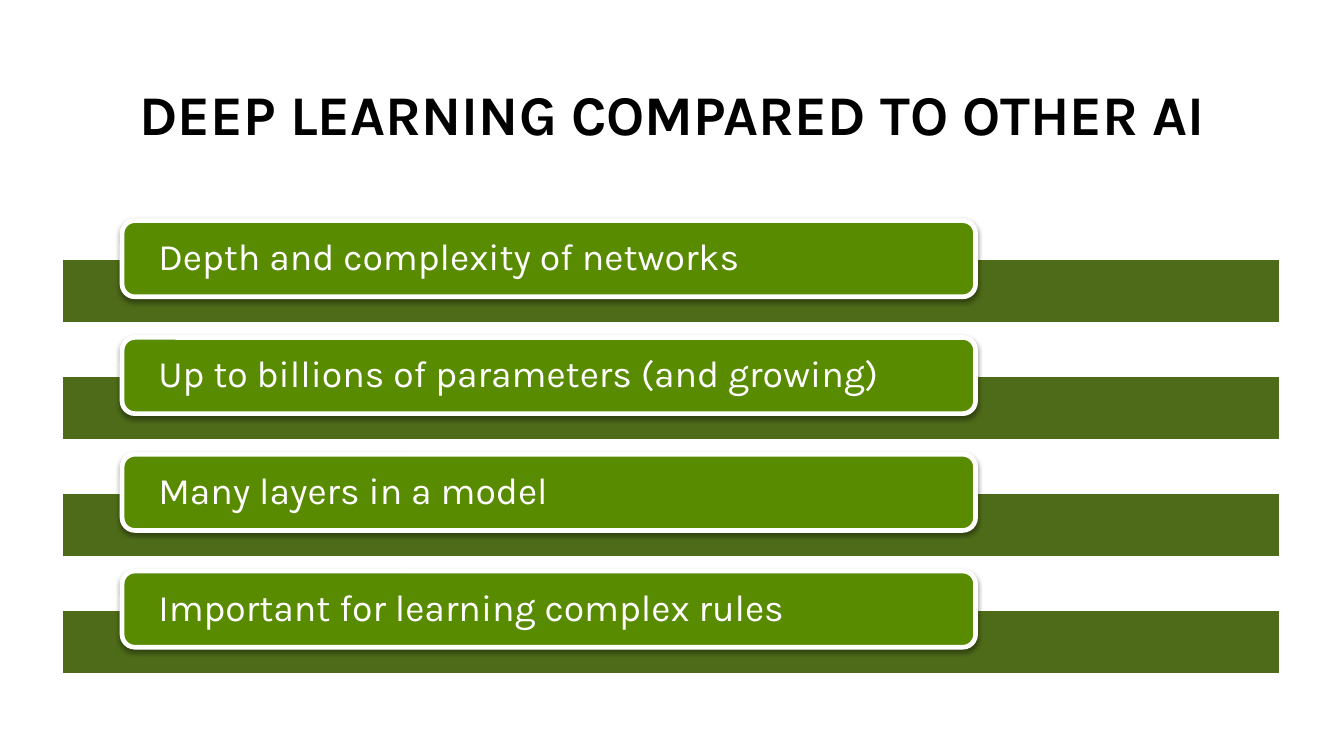
"""Build a slide listing how deep learning compares to other AI."""
from dataclasses import dataclass

from lxml import etree
from pptx import Presentation
from pptx.dml.color import RGBColor
from pptx.enum.shapes import MSO_SHAPE
from pptx.enum.text import MSO_ANCHOR, MSO_AUTO_SIZE, PP_ALIGN
from pptx.oxml.ns import qn
from pptx.shapes.autoshape import Shape
from pptx.slide import Slide
from pptx.text.text import TextFrame
from pptx.util import Inches, Pt

RECTANGLE = MSO_SHAPE.RECTANGLE
ROUNDED = MSO_SHAPE.ROUNDED_RECTANGLE
LEFT, CENTER = PP_ALIGN.LEFT, PP_ALIGN.CENTER
MIDDLE, BOTTOM = MSO_ANCHOR.MIDDLE, MSO_ANCHOR.BOTTOM
NO_AUTOFIT = MSO_AUTO_SIZE.NONE
TITLE_ONLY_LAYOUT = 5

FONT = "Karla"
COLORS = {"black": "000000", "white": "FFFFFF", "band": "3B5C00", "pill": "598B00"}
TITLE = "DEEP LEARNING COMPARED TO OTHER AI"
POINTS = (
    "Depth and complexity of networks",
    "Up to billions of parameters (and growing)",
    "Many layers in a model",
    "Important for learning complex rules",
)
FIRST_TOP = 1.97
ROW_PITCH = 1.043
BAND_OFFSET = 0.34


@dataclass(frozen=True)
class Box:
    left: float
    top: float
    width: float
    height: float

    def lengths(self) -> tuple:
        return tuple(map(Inches, (self.left, self.top, self.width, self.height)))


def color(name: str) -> RGBColor:
    return RGBColor.from_string(COLORS[name])


def write(frame: TextFrame, text: str, size: float, color_name: str,
          alignment: PP_ALIGN, bold: bool = False) -> None:
    paragraph = frame.paragraphs[0]
    paragraph.alignment = alignment
    paragraph.line_spacing = 0.9
    run = paragraph.add_run()
    run.text = text
    run.font.name = FONT
    run.font.size = Pt(size)
    run.font.bold = bold
    run.font.color.rgb = color(color_name)


def add_block(slide: Slide, kind: MSO_SHAPE, box: Box, fill: str, line_width: float) -> Shape:
    shape = slide.shapes.add_shape(kind, *box.lengths())
    shape.shadow.inherit = False
    shape.fill.solid()
    shape.fill.fore_color.rgb = color(fill)
    shape.line.color.rgb = color("white")
    shape.line.width = Pt(line_width)
    return shape


def set_opacity(color_element: etree._Element, percent: int) -> None:
    etree.SubElement(color_element, qn("a:alpha"), val=str(percent * 1000))


def add_shadow(shape: Shape) -> None:
    effects = shape.element.spPr.find(qn("a:effectLst"))
    shadow = etree.SubElement(
        effects, qn("a:outerShdw"), blurRad=str(Pt(3.1)), dist=str(Pt(1.6)),
        dir=str(90 * 60000), rotWithShape="0")
    shadow_color = etree.SubElement(shadow, qn("a:srgbClr"), val=COLORS["black"])
    set_opacity(shadow_color, 38)


def add_title(slide: Slide) -> None:
    title = slide.shapes.title
    title.left, title.top, title.width, title.height = Box(0.55, 0.72, 10.91, 0.65).lengths()
    frame = title.text_frame
    frame.word_wrap = True
    frame.auto_size = NO_AUTOFIT
    frame.vertical_anchor = BOTTOM
    write(frame, TITLE, 36, "black", CENTER, bold=True)


def add_point(slide: Slide, text: str, top: float) -> None:
    band = add_block(slide, RECTANGLE, Box(0.55, top + BAND_OFFSET, 10.88, 0.58), "band", 2)
    set_opacity(band.element.spPr.find(qn("a:solidFill"))[0], 90)

    pill = add_block(slide, ROUNDED, Box(1.09, top, 7.62, 0.68), "pill", 3)
    add_shadow(pill)
    frame = pill.text_frame
    frame.word_wrap = True
    frame.vertical_anchor = MIDDLE
    frame.margin_left = frame.margin_right = Inches(0.29)
    frame.margin_top = frame.margin_bottom = 0
    write(frame, text, 24, "white", LEFT)


def main() -> None:
    presentation = Presentation()
    presentation.slide_width = Inches(12)
    presentation.slide_height = Inches(6.75)
    slide = presentation.slides.add_slide(presentation.slide_layouts[TITLE_ONLY_LAYOUT])
    add_title(slide)
    for row, text in enumerate(POINTS):
        add_point(slide, text, FIRST_TOP + row * ROW_PITCH)
    presentation.save("out.pptx")


if __name__ == "__main__":
    main()
